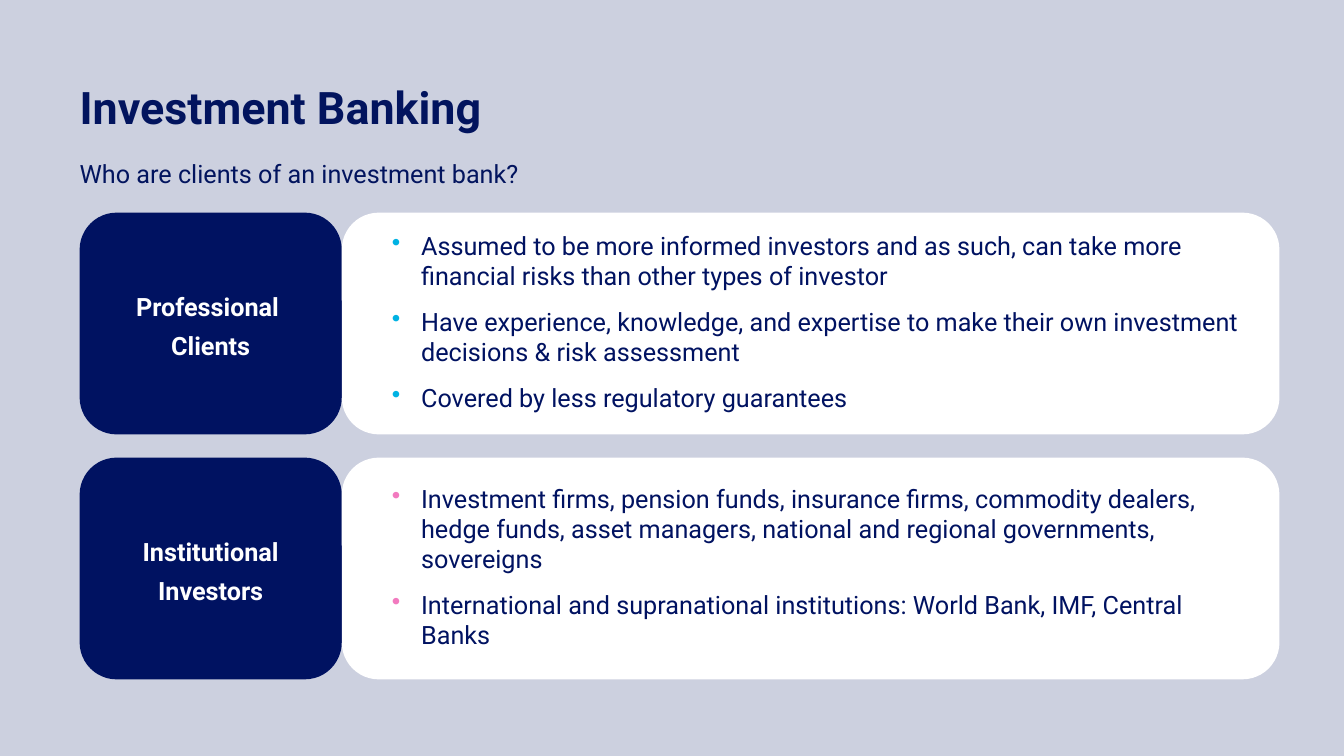
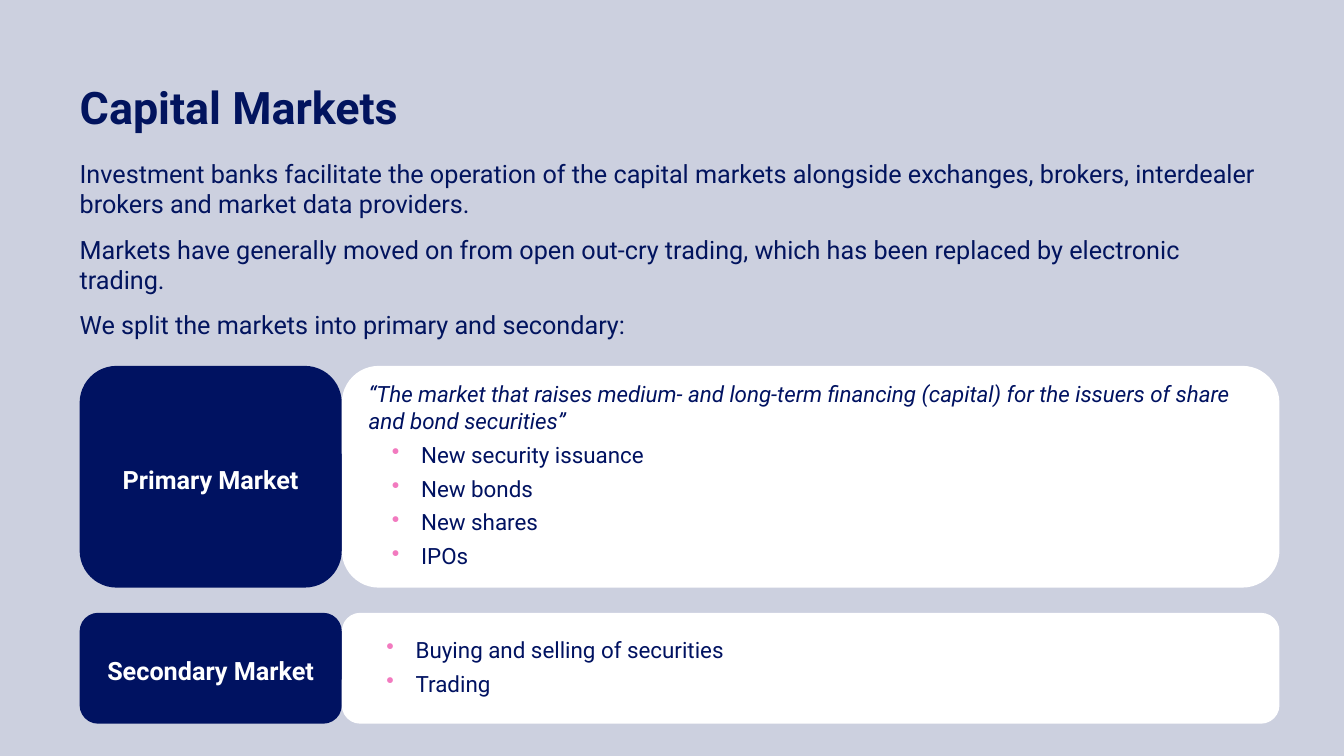
from dataclasses import dataclass

from lxml import etree
from pptx import Presentation
from pptx.dml.color import RGBColor
from pptx.enum.shapes import MSO_SHAPE
from pptx.enum.text import MSO_ANCHOR, PP_ALIGN
from pptx.oxml.ns import qn
from pptx.util import Inches, Pt

ROUNDED = MSO_SHAPE.ROUNDED_RECTANGLE
MIDDLE = MSO_ANCHOR.MIDDLE
CENTER = PP_ALIGN.CENTER

FONT = "Roboto"
COLORS = {
    "background": "CCD0DF",
    "heading": "02145E",
    "navy": "001261",
    "white": "FFFFFF",
    "cyan": "00B2E3",
    "pink": "F27ABF",
}
LEFT = 0.79
LABEL_WIDTH = 2.6
PANEL_WIDTH = 9.3


@dataclass(frozen=True)
class Row:
    top: float
    height: float
    label: tuple[str, ...]
    bullets: tuple[str, ...]
    bullet_color: str = "pink"
    size: int = 16
    gap: int = 5
    quote: str = ""


@dataclass(frozen=True)
class Topic:
    title: str
    intro: tuple[str, ...]
    rows: tuple[Row, ...]


TOPICS = (
    Topic(
        "Investment Banking",
        ("Who are clients of an investment bank?",),
        (
            Row(2.11, 2.2, ("Professional ", "Clients"), (
                "Assumed to be more informed investors and as such, can take more "
                "financial risks than other types of investor",
                "Have experience, knowledge, and expertise to make their own "
                "investment decisions & risk assessment",
                "Covered by less regulatory guarantees",
            ), bullet_color="cyan", size=18, gap=11),
            Row(4.54, 2.2, ("Institutional Investors",), (
                "Investment firms, pension funds, insurance firms, commodity dealers, "
                "hedge funds, asset managers, national and regional governments, "
                "sovereigns",
                "International and supranational institutions: World Bank, IMF, "
                "Central Banks",
            ), size=18, gap=11),
        ),
    ),
    Topic(
        "Capital Markets",
        (
            "Investment banks facilitate the operation of the capital markets "
            "alongside exchanges, brokers, interdealer brokers and market data "
            "providers.",
            "Markets have generally moved on from open out-cry trading, which has "
            "been replaced by electronic trading.",
            "We split the markets into primary and secondary:",
        ),
        (
            Row(3.63, 2.2, ("Primary Market",),
                ("New security issuance", "New bonds", "New shares", "IPOs"),
                quote="“The market that raises medium- and long-term financing "
                      "(capital) for the issuers of share and bond securities”"),
            Row(6.08, 1.1, ("Secondary Market",),
                ("Buying and selling of securities", "Trading")),
        ),
    ),
)


def rgb(name: str) -> RGBColor:
    return RGBColor.from_string(COLORS[name])


def set_insets(frame, left: float, top: float, right: float, bottom: float) -> None:
    frame.word_wrap = True
    frame.margin_left, frame.margin_top = Inches(left), Inches(top)
    frame.margin_right, frame.margin_bottom = Inches(right), Inches(bottom)


def add_paragraph(frame, text: str, size: int, color: str,
                  bold: bool = False, italic: bool = False, bullet: str = ""):
    first = frame.paragraphs[0]
    para = frame.add_paragraph() if first.runs else first
    para.add_run().text = text
    if bullet:
        para.level = 1
        properties = para._p.get_or_add_pPr()
        properties.set("marL", str(Inches(0.52)))
        properties.set("indent", str(Inches(-0.29)))
        bullet_color = etree.SubElement(properties, qn("a:buClr"))
        etree.SubElement(bullet_color, qn("a:srgbClr"), val=COLORS[bullet])
        etree.SubElement(properties, qn("a:buChar"), char="•")
    font = para.font
    font.name, font.size = FONT, Pt(size)
    font.bold, font.italic = bold, italic
    font.color.rgb = rgb(color)
    return para


def add_text(page, top: float, width: float, height: float,
             texts: tuple[str, ...], size: int, after: float, bold: bool = False) -> None:
    box = page.shapes.add_textbox(Inches(LEFT), Inches(top), Inches(width), Inches(height))
    set_insets(box.text_frame, 0, 0, 0, 0)
    for text in texts:
        para = add_paragraph(box.text_frame, text, size, "heading", bold)
        para.space_after = Pt(after)


def add_card(page, left: float, width: float, row: Row, fill: str):
    card = page.shapes.add_shape(
        ROUNDED, Inches(left), Inches(row.top), Inches(width), Inches(row.height))
    card.shadow.inherit = False
    card.fill.solid()
    card.fill.fore_color.rgb = rgb(fill)
    card.line.fill.background()
    frame = card.text_frame
    set_insets(frame, 0.16, 0.16, 0.16, 0.2)
    frame.vertical_anchor = MIDDLE
    return frame


def add_row(page, row: Row) -> None:
    label = add_card(page, LEFT, LABEL_WIDTH, row, "navy")
    for text in row.label:
        para = add_paragraph(label, text, 18, "white", bold=True)
        para.alignment = CENTER
        para.line_spacing = 1.3

    panel = add_card(page, LEFT + LABEL_WIDTH, PANEL_WIDTH, row, "white")
    if row.quote:
        add_paragraph(panel, row.quote, row.size, "navy", italic=True)
    for text in row.bullets:
        add_paragraph(panel, text, row.size, "navy", bullet=row.bullet_color)
    for index, para in enumerate(panel.paragraphs):
        para.alignment = PP_ALIGN.LEFT
        para.space_before = Pt(row.gap if index else 0)


def add_topic(deck, topic: Topic) -> None:
    page = deck.slides.add_slide(deck.slide_layouts[6])
    add_text(page, 0.79, 8.72, 0.99, (topic.title,), 32, 16.3, bold=True)
    add_text(page, 1.57, 11.76, 5.47, topic.intro, 18, 10.9)
    for row in topic.rows:
        add_row(page, row)


def main() -> None:
    deck = Presentation()
    deck.slide_width, deck.slide_height = Inches(13.33), Inches(7.5)
    background = deck.slide_master.background.fill
    background.solid()
    background.fore_color.rgb = rgb("background")
    for topic in TOPICS:
        add_topic(deck, topic)
    deck.save("out.pptx")


if __name__ == "__main__":
    main()
